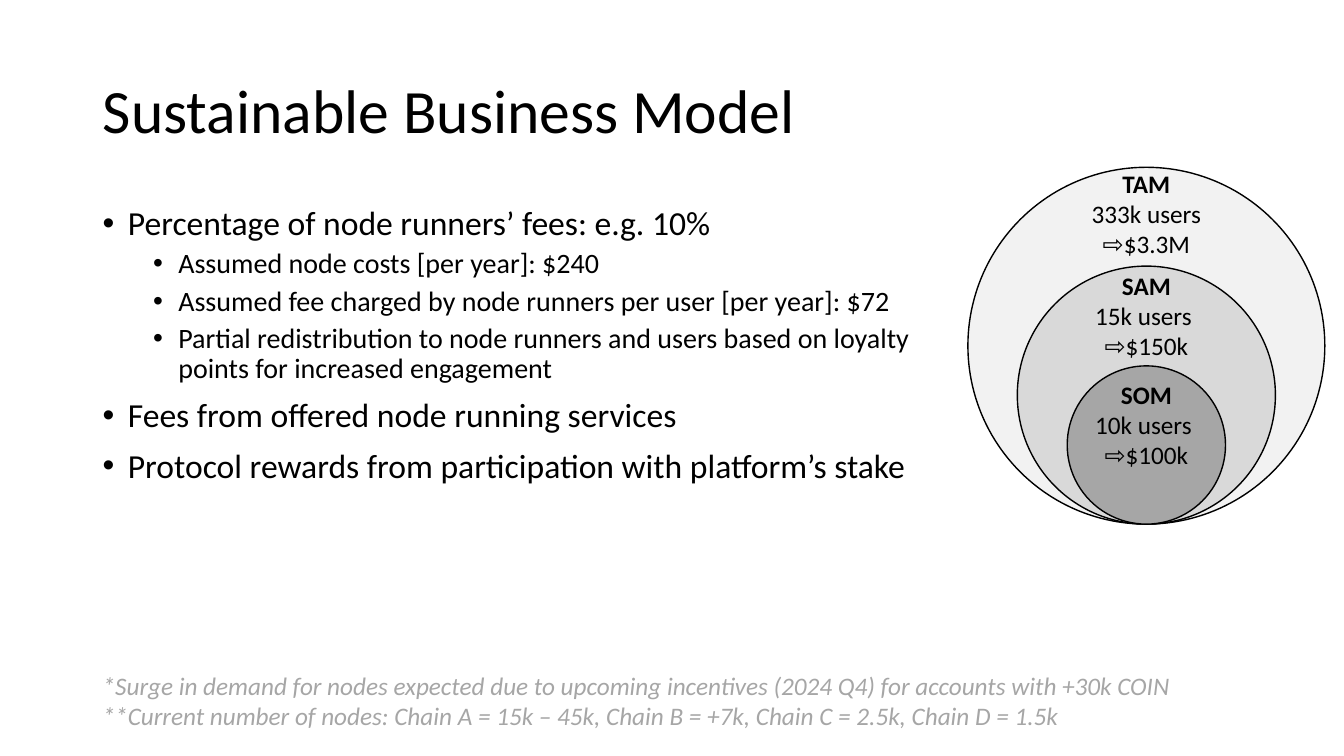
from lxml.etree import SubElement
from pptx import Presentation
from pptx.dml.color import RGBColor as RGB
from pptx.enum.shapes import MSO_SHAPE as SHAPE
from pptx.enum.text import MSO_ANCHOR as ANCHOR, PP_ALIGN as ALIGN
from pptx.oxml.ns import qn
from pptx.util import Inches, Pt

COLORS = {"text": "000000", "note": "A6A6A6", "TAM": "F2F2F2", "SAM": "D9D9D9", "SOM": "A6A6A6"}


def style(par, size, color="text", bold=False, italic=False):
    font = par.font
    font.name = "Calibri"
    font.size = Pt(size)
    font.bold = bold
    font.italic = italic
    font.color.rgb = RGB.from_string(COLORS[color])


def add_text(left, top, width, height, lines, wrap=True):
    box = slide.shapes.add_textbox(Inches(left), Inches(top), Inches(width), Inches(height))
    frame = box.text_frame
    frame.word_wrap = wrap
    frame.text = "\n".join(lines)
    return frame.paragraphs


deck = Presentation()
deck.slide_width = Inches(13.33)
deck.slide_height = Inches(7.5)
slide = deck.slides.add_slide(deck.slide_layouts[5])

title = slide.shapes.title
title.left, title.top = Inches(0.92), Inches(0.4)
title.width, title.height = Inches(11.5), Inches(1.45)
title.text_frame.text = "Sustainable Business Model"
title.text_frame.vertical_anchor = ANCHOR.MIDDLE
head = title.text_frame.paragraphs[0]
head.alignment = ALIGN.LEFT
head.line_spacing = 0.9
style(head, 44)

points = [
    (0, "Percentage of node runners’ fees: e.g. 10%"),
    (1, "Assumed node costs [per year]: $240"),
    (1, "Assumed fee charged by node runners per user [per year]: $72"),
    (1, "Partial redistribution to node runners and users based on loyalty points for increased engagement"),
    (0, "Fees from offered node running services"),
    (0, "Protocol rewards from participation with platform’s stake"),
]
pars = add_text(0.92, 2, 8.91, 4.76, [text for level, text in points])
for i, (par, (level, text)) in enumerate(zip(pars, points)):
    par.level = level
    par.line_spacing = 0.9
    par.space_before = Pt((10, 5)[level] if i else 0)
    props = par._p.get_or_add_pPr()
    props.set("marL", str(Inches(0.25 + 0.5 * level)))
    props.set("indent", str(Inches(-0.25)))
    SubElement(props, qn("a:buFont"), typeface="Arial")
    SubElement(props, qn("a:buChar"), char="•")
    style(par, (24, 20)[level])

markets = [
    ("TAM", 3.54, 1.62, "333k users ", "⇨$3.3M"),
    ("SAM", 2.56, 2.63, "15k users ", "⇨$150k"),
    ("SOM", 1.57, 3.71, "10k users ", "⇨$100k"),
]
center, base = 11.37, 5.2
for name, size, top, users, value in markets:
    ring = slide.shapes.add_shape(
        SHAPE.OVAL, Inches(center - size / 2), Inches(base - size), Inches(size), Inches(size))
    ring.shadow.inherit = False
    ring.fill.solid()
    ring.fill.fore_color.rgb = RGB.from_string(COLORS[name])
    ring.line.color.rgb = RGB.from_string(COLORS["text"])
    ring.line.width = Pt(1)

for name, size, top, users, value in markets:
    width = 1.3
    pars = add_text(center - width / 2, top, width, 1.01, [name, users, value], wrap=False)
    for par in pars:
        par.alignment = ALIGN.CENTER
        style(par, 18, bold=par.text == name)

notes = [
    "*Surge in demand for nodes expected due to upcoming incentives (2024 Q4) for accounts with +30k COIN",
    "**Current number of nodes: Chain A = 15k – 45k, Chain B = +7k, Chain C = 2.5k, Chain D = 1.5k",
]
for par in add_text(0.92, 6.6, 11.5, 0.71, notes):
    style(par, 18, "note", italic=True)

deck.save("out.pptx")
